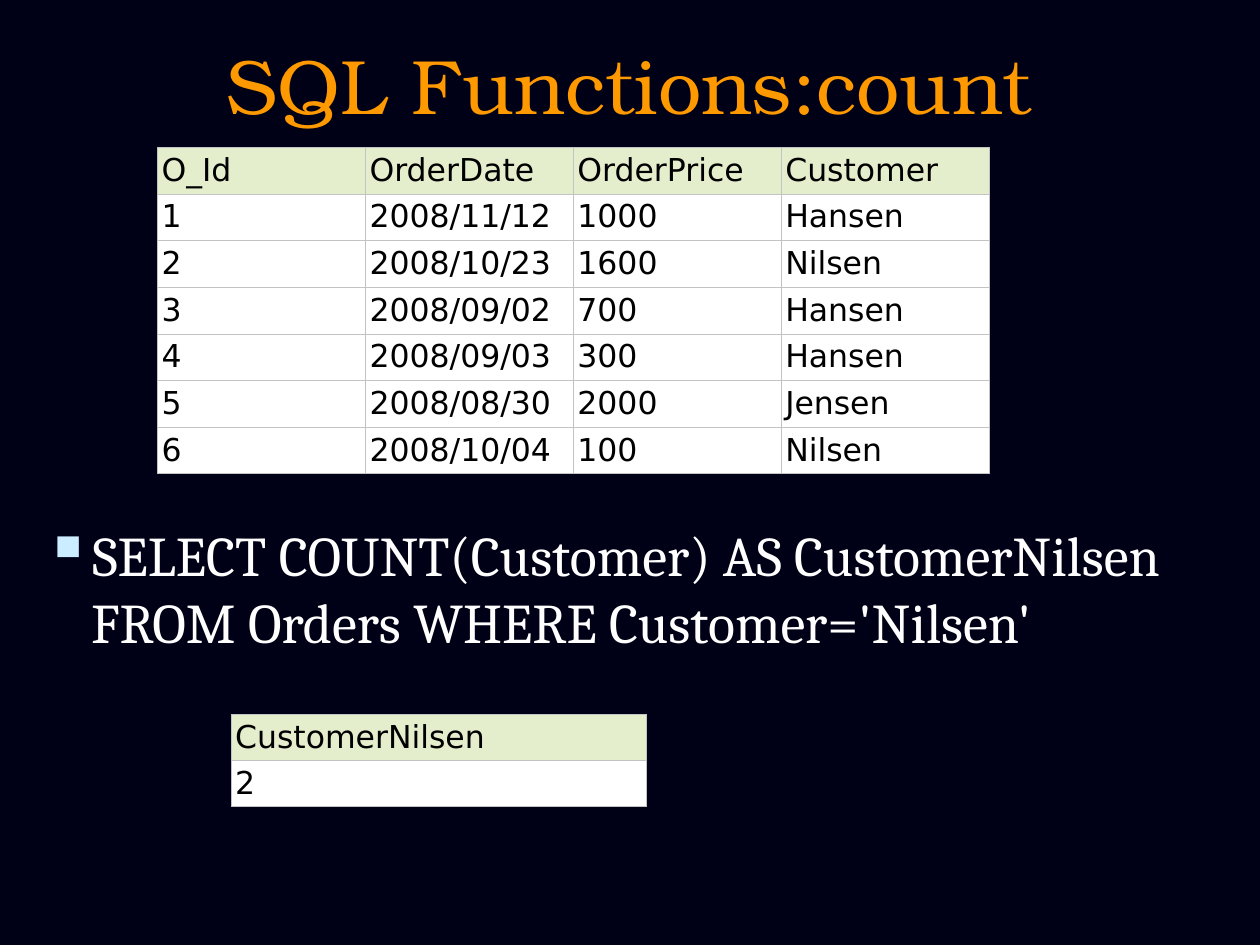
"""Build a slide that shows the SQL COUNT function on an orders table."""
import lxml.etree
import pptx
import pptx.dml.color
import pptx.enum.text
import pptx.oxml.ns
import pptx.util

Cm = pptx.util.Cm
Pt = pptx.util.Pt
qn = pptx.oxml.ns.qn

COLORS = {
    "background": "000016",
    "title": "FF9900",
    "body": "FFFFFF",
    "bullet": "CCECFF",
    "header": "E5EECC",
    "cell": "FFFFFF",
    "cell_text": "000000",
    "border": "C3C3C3",
}
TITLE_FONT = {"name": "TeX Gyre Bonum", "size": Pt(44)}
BODY_FONT = {"name": "Cambria", "size": Pt(32)}
CELL_FONT = {"name": "DejaVu Sans", "size": Pt(18)}
CELL_MARGINS = {
    "margin_left": Cm(0.08),
    "margin_right": Cm(0.08),
    "margin_top": Cm(0.13),
    "margin_bottom": Cm(0.08),
}
ORDERS = [
    ["O_Id", "OrderDate", "OrderPrice", "Customer"],
    ["1", "2008/11/12", "1000", "Hansen"],
    ["2", "2008/10/23", "1600", "Nilsen"],
    ["3", "2008/09/02", "700", "Hansen"],
    ["4", "2008/09/03", "300", "Hansen"],
    ["5", "2008/08/30", "2000", "Jensen"],
    ["6", "2008/10/04", "100", "Nilsen"],
]
RESULT = [["CustomerNilsen"], ["2"]]
QUERY = "SELECT COUNT(Customer) AS CustomerNilsen FROM Orders WHERE Customer='Nilsen'"


def rgb(name):
    return pptx.dml.color.RGBColor.from_string(COLORS[name])


def set_attributes(obj, values):
    for name, value in values.items():
        setattr(obj, name, value)


def add_run(p, text, font, color):
    r = p.add_run()
    r.text = text
    set_attributes(r.font, font)
    r.font.color.rgb = rgb(color)


def add_text(slide, box, text, font, color, frame, paragraph):
    sp = slide.shapes.add_textbox(*map(Cm, box))
    tf = sp.text_frame
    set_attributes(tf, {"word_wrap": True, **frame})
    p = tf.paragraphs[0]
    set_attributes(p, paragraph)
    add_run(p, text, font, color)
    return p


def add_bullet(p, char, color, percent, indent):
    pPr = p._p.get_or_add_pPr()
    pPr.set("marL", str(indent))
    pPr.set("indent", str(-indent))
    buClr = lxml.etree.SubElement(pPr, qn("a:buClr"))
    lxml.etree.SubElement(buClr, qn("a:srgbClr"), val=COLORS[color])
    lxml.etree.SubElement(pPr, qn("a:buSzPct"), val=str(percent * 1000))
    lxml.etree.SubElement(pPr, qn("a:buChar"), char=char)


def set_borders(cell, color, width):
    tcPr = cell._tc.get_or_add_tcPr()
    for i, side in enumerate(("lnL", "lnR", "lnT", "lnB")):
        ln = lxml.etree.Element(qn(f"a:{side}"), w=str(width))
        fill = lxml.etree.SubElement(ln, qn("a:solidFill"))
        lxml.etree.SubElement(fill, qn("a:srgbClr"), val=COLORS[color])
        tcPr.insert(i, ln)


def fill_cell(cell, text, fill):
    set_attributes(cell, CELL_MARGINS)
    cell.fill.solid()
    cell.fill.fore_color.rgb = rgb(fill)
    set_borders(cell, "border", Pt(0.34))
    p = cell.text_frame.paragraphs[0]
    p.line_spacing = 0.94
    add_run(p, text, CELL_FONT, "cell_text")


def add_data_table(slide, left, top, col_width, row_height, rows):
    n_rows, n_cols = len(rows), len(rows[0])
    size = Cm(col_width * n_cols), Cm(row_height * n_rows)
    table = slide.shapes.add_table(n_rows, n_cols, Cm(left), Cm(top), *size).table
    for col in table.columns:
        col.width = Cm(col_width)
    for i, row in enumerate(rows):
        table.rows[i].height = Cm(row_height)
        for j, text in enumerate(row):
            fill_cell(table.cell(i, j), text, "cell" if i else "header")


def main():
    prs = pptx.Presentation()
    prs.slide_width, prs.slide_height = Cm(25.4), Cm(19.05)
    slide = prs.slides.add_slide(prs.slide_layouts[6])
    slide.background.fill.solid()
    slide.background.fill.fore_color.rgb = rgb("background")

    add_text(slide, (1.27, 0.64, 22.86, 2.11), "SQL Functions:count", TITLE_FONT, "title",
             {"vertical_anchor": pptx.enum.text.MSO_ANCHOR.MIDDLE},
             {"alignment": pptx.enum.text.PP_ALIGN.CENTER})
    p = add_text(slide, (0.64, 10.36, 24.13, 3.38), QUERY, BODY_FONT, "body",
                 {}, {"space_before": Pt(6.4)})
    add_bullet(p, "▪", "bullet", 115, Cm(0.95))
    add_data_table(slide, 3.18, 2.97, 4.19, 0.94, ORDERS)
    add_data_table(slide, 4.66, 14.4, 8.37, 0.92, RESULT)
    prs.save("out.pptx")


if __name__ == "__main__":
    main()
